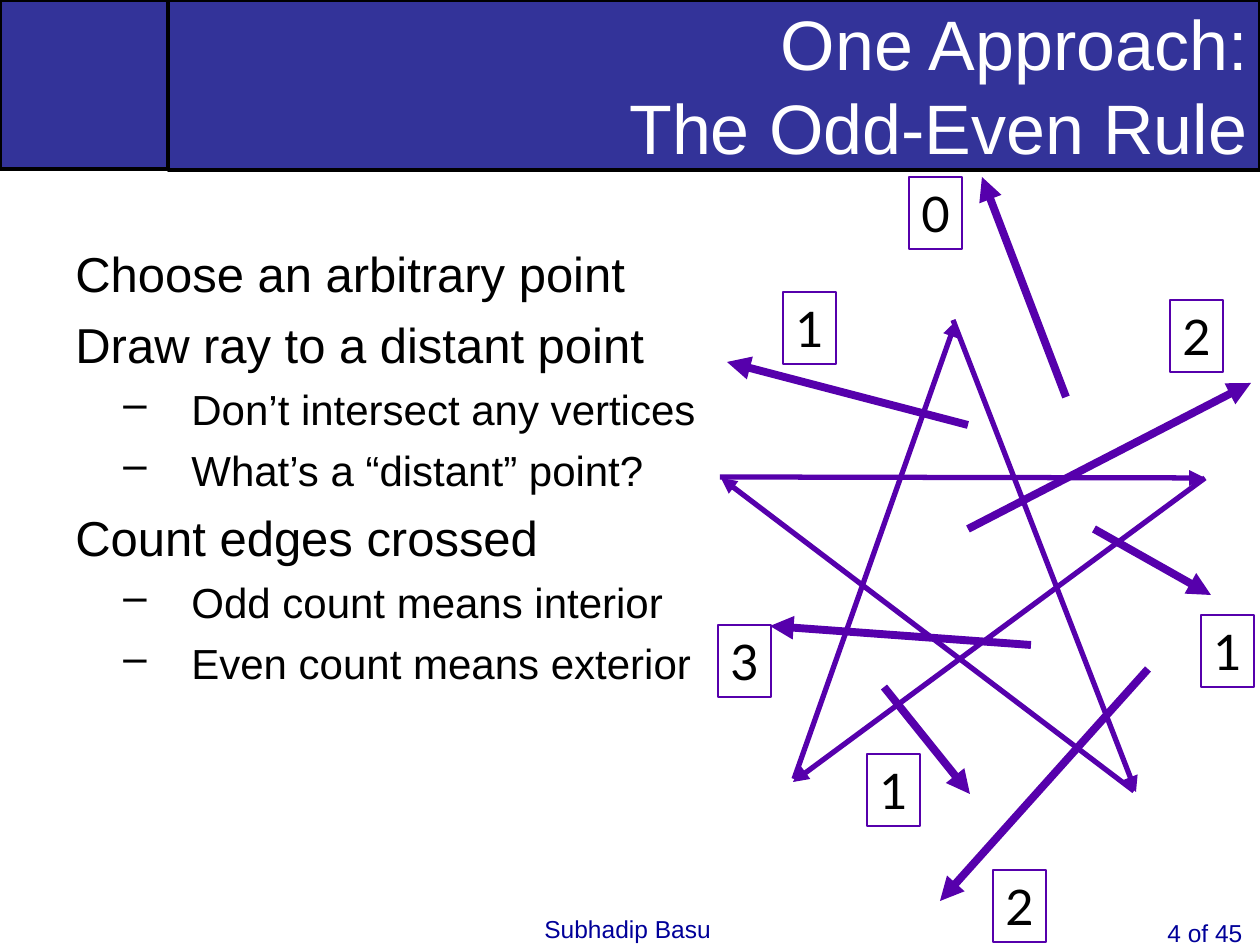
from lxml.etree import SubElement
from pptx import Presentation
from pptx.dml.color import RGBColor
from pptx.enum.shapes import MSO_CONNECTOR, MSO_SHAPE
from pptx.enum.text import MSO_ANCHOR, MSO_AUTO_SIZE, PP_ALIGN
from pptx.oxml.ns import qn
from pptx.util import Pt

SCALE = 914400 / 126
NAVY, PURPLE, BLACK, WHITE, FOOTER_BLUE = "333399", "5600AC", "000000", "FFFFFF", "000099"

TITLE = ["One Approach:", "The Odd-Even Rule"]
STEPS = [
    (0, "Choose an arbitrary point"),
    (0, "Draw ray to a distant point"),
    (1, "Don’t intersect any vertices"),
    (1, "What’s a “distant” point?"),
    (0, "Count edges crossed"),
    (1, "Odd count means interior"),
    (1, "Even count means exterior"),
]
LEVELS = [
    {"size": 28, "before": 7, "margin": 79, "indent": -79},
    {"size": 24, "before": 6, "margin": 116, "indent": -68},
]
STAR_EDGES = [
    ((794, 779), (956, 321)),
    ((953, 320), (1136, 792)),
    ((1134, 791), (721, 478)),
    ((720, 477), (1205, 478)),
    ((1205, 478), (793, 782)),
]
RAYS = [
    ((968, 425), (727, 362), "1", (783, 292)),
    ((884, 687), (970, 794), "1", (867, 754)),
    ((1031, 645), (770, 626), "3", (718, 625)),
    ((1094, 529), (1211, 595), "1", (1201, 615)),
    ((968, 529), (1251, 383), "2", (1170, 300)),
    ((1066, 397), (982, 177), "0", (909, 177)),
    ((1148, 669), (940, 901), "2", (993, 870)),
]
COUNT_SIZE = (53, 72)
FOOTERS = [("Subhadip Basu", (532, 908, 192, 43)), ("4 of 45", (1155, 912, 104, 43))]


def px(length):
    return round(length * SCALE)


def colour(value):
    return RGBColor.from_string(value)


def paint(shape, fill, line, width):
    if fill:
        shape.fill.solid()
        shape.fill.fore_color.rgb = colour(fill)
    else:
        shape.fill.background()
    shape.line.color.rgb = colour(line)
    shape.line.width = Pt(width)


def write(paragraph, text, size, ink, face="Arial"):
    run = paragraph.add_run()
    run.text = text
    run.font.size = Pt(size)
    run.font.name = face
    run.font.color.rgb = colour(ink)


def add_box(slide, place, fill, line, width):
    box = slide.shapes.add_shape(MSO_SHAPE.RECTANGLE, *map(px, place))
    box.shadow.inherit = False
    paint(box, fill, line, width)
    return box


def add_arrow(slide, start, end, width):
    arrow = slide.shapes.add_connector(MSO_CONNECTOR.STRAIGHT, *map(px, start + end))
    arrow.line.color.rgb = colour(PURPLE)
    arrow.line.width = Pt(width)
    SubElement(arrow.line._get_or_add_ln(), qn("a:tailEnd"), type="triangle")
    SubElement(arrow._element.spPr, qn("a:effectLst"))


def add_title(slide):
    title = slide.shapes.title
    title.left, title.top, title.width, title.height = map(px, (168, 0, 1092, 170))
    paint(title, NAVY, BLACK, 2)
    frame = title.text_frame
    frame.auto_size = MSO_AUTO_SIZE.NONE
    frame.vertical_anchor = MSO_ANCHOR.MIDDLE
    heading = frame.paragraphs[0]
    heading.alignment = PP_ALIGN.RIGHT
    heading.line_spacing = Pt(48)
    for index, line in enumerate(TITLE):
        if index:
            heading.add_line_break()
        write(heading, line, 40, WHITE)


def add_steps(slide):
    frame = slide.shapes.add_textbox(*map(px, (63, 237, 651, 624))).text_frame
    frame.word_wrap = True
    for index, (level, text) in enumerate(STEPS):
        step = frame.add_paragraph() if index else frame.paragraphs[0]
        style = LEVELS[level]
        step.level = level
        step.line_spacing = Pt(style["size"] * 1.2)
        if index:
            step.space_before = Pt(style["before"])
        properties = step._p.get_or_add_pPr()
        properties.set("marL", str(px(style["margin"])))
        properties.set("indent", str(px(style["indent"])))
        if level:
            SubElement(properties, qn("a:buChar"), char="–")
        else:
            SubElement(properties, qn("a:buNone"))
        write(step, text, style["size"], BLACK)


def add_count(slide, count, corner):
    frame = add_box(slide, corner + COUNT_SIZE, None, PURPLE, 1).text_frame
    frame.word_wrap = False
    frame.paragraphs[0].alignment = PP_ALIGN.LEFT
    write(frame.paragraphs[0], count, 28, BLACK, "Lato")


def main():
    deck = Presentation()
    deck.slide_width, deck.slide_height = px(1260), px(945)
    slide = deck.slides.add_slide(deck.slide_layouts[5])
    add_title(slide)
    add_box(slide, (0, 0, 168, 169), NAVY, BLACK, 2)
    for text, place in FOOTERS:
        footer = slide.shapes.add_textbox(*map(px, place)).text_frame
        footer.word_wrap = True
        write(footer.paragraphs[0], text, 14, FOOTER_BLUE)
    add_steps(slide)
    for start, end in STAR_EDGES:
        add_arrow(slide, start, end, 3)
    for start, end, count, corner in RAYS:
        add_arrow(slide, start, end, 4.5)
        add_count(slide, count, corner)
    deck.save("out.pptx")


if __name__ == "__main__":
    main()
